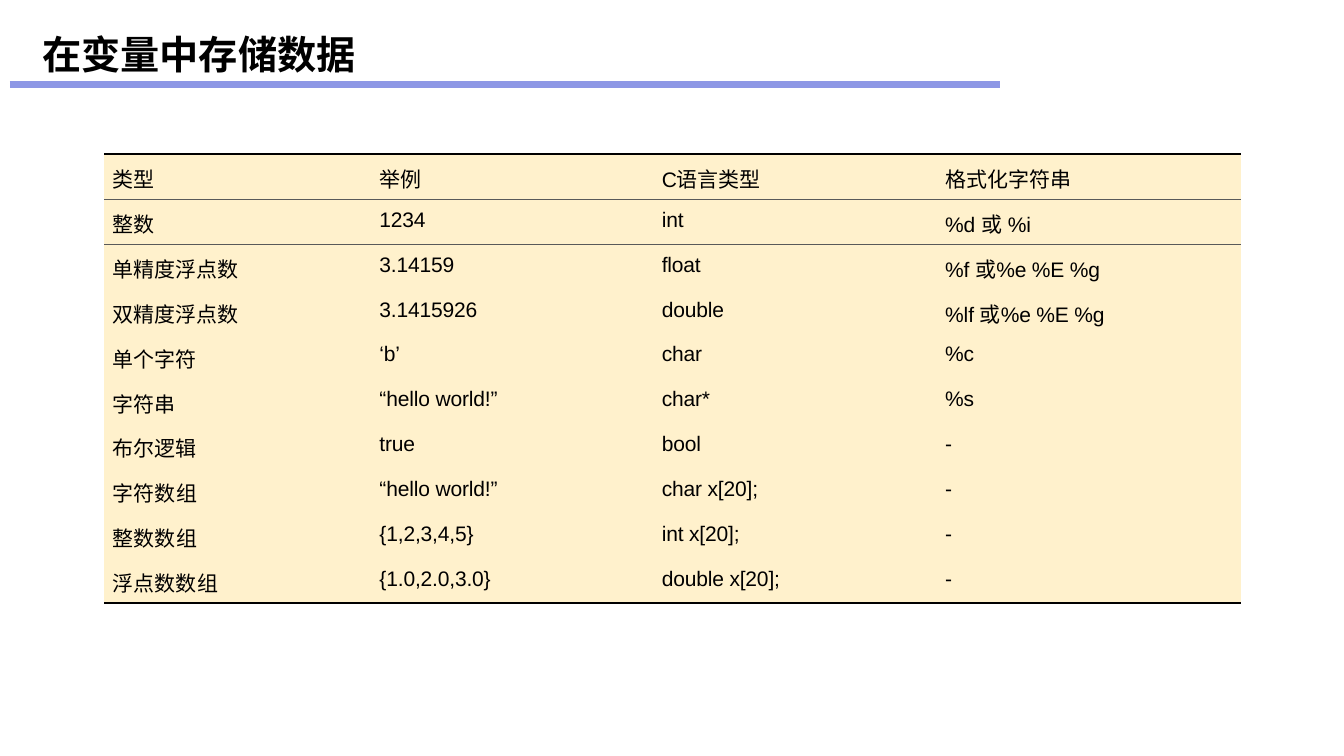
import itertools

import pptx
import pptx.dml.color
import pptx.enum.shapes
import pptx.enum.text
import pptx.oxml
import pptx.oxml.ns
import pptx.util

Cm, Pt = pptx.util.Cm, pptx.util.Pt
COLORS = {"text": "000000", "underline": "8D97E5", "cell": "FFF1CC",
          "outer": "000000", "inner": "595959"}
SIMPLIFIED = set("变储类举语单尔逻辑组")
ROWS = [
    ("类型", "举例", "C语言类型", "格式化字符串"),
    ("整数", "1234", "int", "%d 或 %i"),
    ("单精度浮点数", "3.14159", "float", "%f 或%e %E %g"),
    ("双精度浮点数", "3.1415926", "double", "%lf 或%e %E %g"),
    ("单个字符", "‘b’", "char", "%c"),
    ("字符串", "“hello world!”", "char*", "%s"),
    ("布尔逻辑", "true", "bool", "-"),
    ("字符数组", "“hello world!”", "char x[20];", "-"),
    ("整数数组", "{1,2,3,4,5}", "int x[20];", "-"),
    ("浮点数数组", "{1.0,2.0,3.0}", "double x[20];", "-"),
]
COLUMN_SHARES = (5.41, 7.06, 7.14, 9.02)
INDENTS = (0.2, 1.52, 1.57, 1.57)
RULES = {0: ("outer", 1.5), 1: ("inner", 0.75), 2: ("inner", 0.75),
         len(ROWS): ("outer", 1.5)}


def rgb(name):
    return pptx.dml.color.RGBColor.from_string(COLORS[name])


def write(frame, text, *, size, bold=False, cjk="Noto Sans CJK JP", color="text"):
    """Fill the frame, giving each stretch of one script its own font."""
    def style(index):
        char = text[index]
        if char in SIMPLIFIED:
            return "Noto Sans CJK SC", 0
        if "\u4e00" <= char <= "\u9fff":
            return cjk, 80 if text[index:index + 2] == "数组" else 0
        return "Arial", -10

    paragraph = frame.paragraphs[0]
    paragraph.alignment = pptx.enum.text.PP_ALIGN.LEFT
    paragraph.space_before = Pt(0)
    for (face, tracking), indexes in itertools.groupby(range(len(text)), style):
        run = paragraph.add_run()
        run.text = "".join(text[i] for i in indexes)
        font = run.font
        font.size, font.bold, font.name = Pt(size), bold, face
        font.color.rgb = rgb(color)
        properties = run._r.get_or_add_rPr()
        properties.set("spc", str(tracking))
        east_asian = properties.makeelement(pptx.oxml.ns.qn("a:ea"), {"typeface": face})
        properties.append(east_asian)


def add_heading(slide, left, top, width, height):
    underline = slide.shapes.add_connector(
        pptx.enum.shapes.MSO_CONNECTOR.STRAIGHT,
        Cm(left - 0.82), Cm(top + 1.42), Cm(left + 24.13), Cm(top + 1.42))
    underline.line.color.rgb = rgb("underline")
    underline.line.width = Pt(4.5)
    properties = underline._element.spPr
    properties.append(properties.makeelement(pptx.oxml.ns.qn("a:effectLst"), {}))

    title = slide.shapes.title
    title.left, title.top, title.width, title.height = map(Cm, (left, top, width, height))
    frame = title.text_frame
    frame.margin_left = frame.margin_right = frame.margin_bottom = 0
    frame.margin_top = Cm(0.05)
    frame.vertical_anchor = pptx.enum.text.MSO_ANCHOR.MIDDLE
    frame.auto_size = pptx.enum.text.MSO_AUTO_SIZE.NONE
    write(frame, "在变量中存储数据", size=28, bold=True, cjk="Noto Sans CJK TC")


def set_borders(cell, top, bottom):
    """Draw the given (colour, points) rules; None leaves an edge bare."""
    edges = (("lnL", None), ("lnR", None), ("lnT", top), ("lnB", bottom))
    for position, (edge, rule) in enumerate(edges):
        color, points = rule or (None, 0)
        fill = (f'<a:solidFill><a:srgbClr val="{COLORS[color]}"/></a:solidFill>'
                if rule else "<a:noFill/>")
        border = pptx.oxml.parse_xml(
            f'<a:{edge} {pptx.oxml.ns.nsdecls("a")} w="{int(Pt(points))}">{fill}</a:{edge}>')
        cell._tc.get_or_add_tcPr().insert(position, border)


def add_type_table(slide, left, top, width, height):
    types = slide.shapes.add_table(
        len(ROWS), len(COLUMN_SHARES), *map(Cm, (left, top, width, height))).table
    types.first_row = types.horz_banding = False
    for column, share in zip(types.columns, COLUMN_SHARES):
        column.width = Cm(width * share / sum(COLUMN_SHARES))
    for r, texts in enumerate(ROWS):
        types.rows[r].height = Cm(height / len(ROWS))
        for c, text in enumerate(texts):
            cell = types.cell(r, c)
            cell.margin_left, cell.margin_top = Cm(INDENTS[c]), Cm(0.23)
            cell.margin_right = cell.margin_bottom = 0
            cell.fill.solid()
            cell.fill.fore_color.rgb = rgb("cell")
            set_borders(cell, RULES.get(r), RULES.get(r + 1))
            write(cell.text_frame, text, size=15)


def main():
    deck = pptx.Presentation()
    deck.slide_width, deck.slide_height = Cm(33.87), Cm(19.05)
    slide = deck.slides.add_slide(deck.slide_layouts[5])
    add_heading(slide, 1.07, 0.71, 8.1, 1.24)
    add_type_table(slide, 2.63, 3.89, 28.65, 11.3)
    deck.save("out.pptx")


if __name__ == "__main__":
    main()
